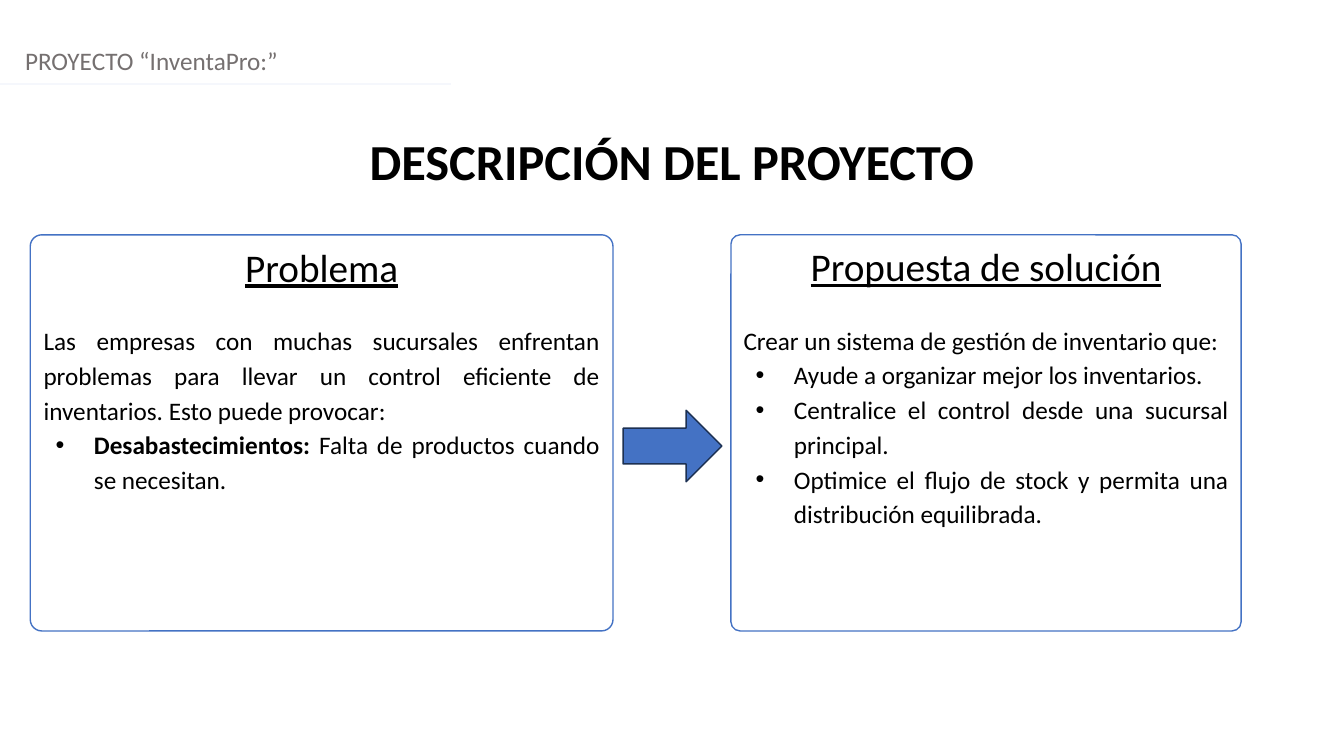
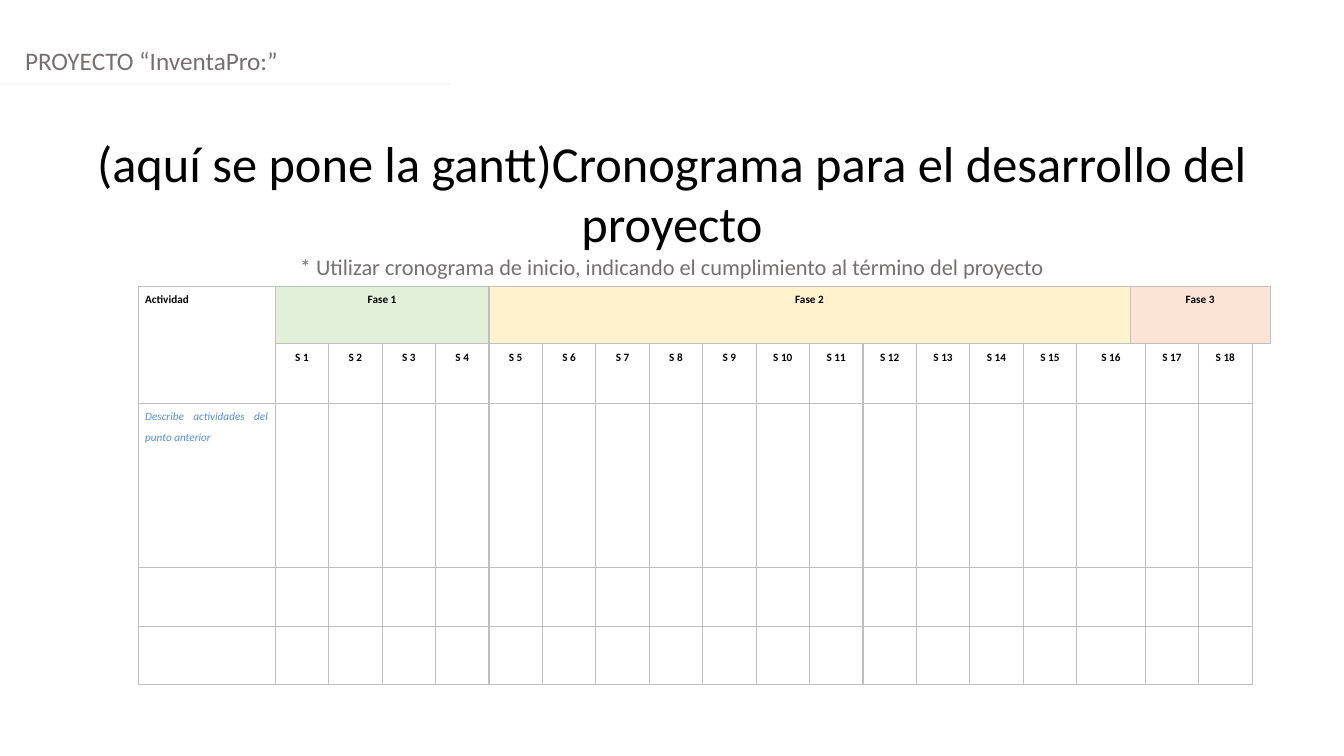
from lxml import etree
from pptx import Presentation
from pptx.dml.color import RGBColor
from pptx.enum.shapes import MSO_CONNECTOR, MSO_SHAPE
from pptx.enum.text import MSO_ANCHOR, MSO_AUTO_SIZE, PP_ALIGN
from pptx.oxml.ns import qn
from pptx.util import Inches, Pt

# Shared style
FONT = "Calibri"
COLORS = {
    "white": "FFFFFF", "black": "000000", "gray": "757070", "rule": "F5F7FC",
    "blue": "4472C4", "navy": "1C3052", "hint": "548DD4", "grid": "BFBFBF",
    "green": "E2EFD9", "yellow": "FFF2CC", "peach": "FBE4D5",
}
LEFT, CENTER, JUSTIFY = PP_ALIGN.LEFT, PP_ALIGN.CENTER, PP_ALIGN.JUSTIFY

# Content
HEADER = "PROYECTO “InventaPro:”"
DESCRIPTION_TITLE = "DESCRIPCIÓN DEL PROYECTO"
CARDS = [
    {"left": 0.3, "width": 5.78, "corner": 0.029, "heading": "Problema",
     "intro": "Las empresas con muchas sucursales enfrentan problemas para llevar "
              "un control eficiente de inventarios. Esto puede provocar:",
     "bullets": [("Desabastecimientos:", " Falta de productos cuando se necesitan.")]},
    {"left": 7.25, "width": 5.06, "corner": 0.023, "heading": "Propuesta de solución",
     "intro": "Crear un sistema de gestión de inventario que:",
     "bullets": [("", "Ayude a organizar mejor los inventarios."),
                 ("", "Centralice el control desde una sucursal principal."),
                 ("", "Optimice el flujo de stock y permita una distribución equilibrada.")]},
]
SCHEDULE_TITLE = "(aquí se pone la gantt)Cronograma para el desarrollo del proyecto"
SCHEDULE_NOTE = ("* Utilizar cronograma de inicio, indicando el cumplimiento "
                 "al término del proyecto")
ACTIVITY = "Actividad"
ACTIVITY_HINT = "Describe actividades del punto anterior"
PHASES = [("Fase 1", 4, "green"), ("Fase 2", 12, "yellow"), ("Fase 3", 4, "peach")]
WEEKS = 18
WIDE_WEEK = 16  # this week also takes the narrow column after it
COLUMN_WIDTHS = [1.36] + [0.53] * WIDE_WEEK + [0.15, 0.53, 0.53, 0.15]
ROW_HEIGHTS = [0.57, 0.59, 1.63, 0.59, 0.57]


def rgb(name):
    return RGBColor.from_string(COLORS[name])


def box(left, top, width, height):
    return [Inches(value) for value in (left, top, width, height)]


def write(frame, text, size=18, color="black", align=LEFT, bold=False, italic=False,
          underline=False, spacing=None, after=0, lead="", bullet=False):
    """Add a paragraph to the frame; lead is a bold opening."""
    paragraph = frame.paragraphs[0]
    if paragraph.runs:
        paragraph = frame.add_paragraph()
    paragraph.alignment = align
    paragraph.space_after = Pt(after)
    if spacing:
        paragraph.line_spacing = spacing
    for part, is_bold in ((lead, True), (text, bold)):
        if part:
            run = paragraph.add_run()
            run.text = part
            font = run.font
            font.name, font.size, font.color.rgb = FONT, Pt(size), rgb(color)
            font.bold, font.italic, font.underline = is_bold, italic, underline
    if bullet:
        properties = paragraph._p.get_or_add_pPr()
        properties.set("marL", str(Inches(0.5)))
        properties.set("indent", str(Inches(-0.38)))
        etree.SubElement(properties, qn("a:buFont")).set("typeface", "Arial")
        etree.SubElement(properties, qn("a:buChar")).set("char", "•")


def prepare(frame):
    frame.word_wrap = True
    frame.auto_size = MSO_AUTO_SIZE.NONE
    frame.vertical_anchor = MSO_ANCHOR.TOP
    return frame


def add_slide(presentation, top, height):
    """Title-only slide with the project header; returns slide and title frame."""
    slide = presentation.slides.add_slide(presentation.slide_layouts[5])
    title = slide.shapes.title
    title.left, title.top, title.width, title.height = box(0, top, 13.33, height)
    header = slide.shapes.add_textbox(*box(0.15, 0.4, 3.96, 0.4))
    write(prepare(header.text_frame), HEADER, color="gray")
    rule = slide.shapes.add_connector(
        MSO_CONNECTOR.STRAIGHT, Inches(0), Inches(0.83), Inches(4.47), Inches(0.83))
    rule.line.color.rgb, rule.line.width = rgb("rule"), Pt(1.25)
    etree.SubElement(rule._element.spPr, qn("a:effectLst"))
    return slide, prepare(title.text_frame)


def add_shape(slide, kind, bounds, fill, line):
    shape = slide.shapes.add_shape(kind, *box(*bounds))
    shape.shadow.inherit = False
    shape.fill.solid()
    shape.fill.fore_color.rgb = rgb(fill)
    shape.line.color.rgb, shape.line.width = rgb(line), Pt(1)
    return shape


def set_borders(cell, sides):
    """Draw the named sides and clear the others."""
    properties = cell._tc.get_or_add_tcPr()
    for index, side in enumerate("LRTB"):
        line = etree.Element(qn("a:ln" + side), w=str(Pt(1)))
        if side in sides:
            fill = etree.SubElement(line, qn("a:solidFill"))
            etree.SubElement(fill, qn("a:srgbClr")).set("val", COLORS["grid"])
        else:
            etree.SubElement(line, qn("a:noFill"))
        properties.insert(index, line)


def build_description(presentation):
    slide, title = add_slide(presentation, 1.24, 0.71)
    write(title, DESCRIPTION_TITLE, size=36, bold=True, align=CENTER)
    for card in CARDS:
        shape = add_shape(slide, MSO_SHAPE.ROUNDED_RECTANGLE,
                          (card["left"], 2.33, card["width"], 3.93), "white", "blue")
        shape.adjustments[0] = card["corner"]
        frame = prepare(shape.text_frame)
        write(frame, card["heading"], size=28, underline=True, align=CENTER, after=22)
        write(frame, card["intro"], align=JUSTIFY, spacing=1.15)
        for lead, text in card["bullets"]:
            write(frame, text, lead=lead, align=JUSTIFY, spacing=1.15, bullet=True)
    add_shape(slide, MSO_SHAPE.RIGHT_ARROW, (6.18, 4.07, 0.98, 0.71), "blue", "navy")


def build_schedule(presentation):
    slide, title = add_slide(presentation, 1.26, 1.58)
    write(title, SCHEDULE_TITLE, size=36, align=CENTER)
    write(title, SCHEDULE_NOTE, size=16, color="gray", align=CENTER)

    rows, columns = len(ROW_HEIGHTS), len(COLUMN_WIDTHS)
    table = slide.shapes.add_table(
        rows, columns, *box(1.37, 2.84, sum(COLUMN_WIDTHS), sum(ROW_HEIGHTS))).table
    table.first_row = table.horz_banding = False
    for column, width in zip(table.columns, COLUMN_WIDTHS):
        column.width = Inches(width)
    for row, height in zip(table.rows, ROW_HEIGHTS):
        row.height = Inches(height)

    # The narrow last column is open below the phase row
    for row in range(rows):
        for column in range(columns):
            cell = table.cell(row, column)
            cell.margin_left = cell.margin_right = Inches(0.07)
            cell.margin_top = cell.margin_bottom = 0
            cell.fill.background()
            is_open = row > 0 and column == columns - 1
            sides = "LRTB"
            if is_open:
                sides = "LT" if row == 1 else "L"
            set_borders(cell, sides)

    # Merged cells
    table.cell(0, 0).merge(table.cell(1, 0))
    for row in range(1, rows):
        table.cell(row, WIDE_WEEK).merge(table.cell(row, WIDE_WEEK + 1))

    # Labels
    label = {"size": 8, "spacing": 1.5}
    write(table.cell(0, 0).text_frame, ACTIVITY, bold=True, align=JUSTIFY, **label)
    write(table.cell(2, 0).text_frame, ACTIVITY_HINT, color="hint", italic=True,
          align=JUSTIFY, **label)
    start = 1
    for name, span, color in PHASES:
        cell = table.cell(0, start)
        cell.merge(table.cell(0, start + span - 1))
        cell.fill.solid()
        cell.fill.fore_color.rgb = rgb(color)
        write(cell.text_frame, name, bold=True, align=CENTER, **label)
        start += span
    for week in range(1, WEEKS + 1):
        column = week + (week > WIDE_WEEK)
        write(table.cell(1, column).text_frame, f"S {week}", bold=True,
              align=CENTER, **label)


def main():
    presentation = Presentation()
    presentation.slide_width, presentation.slide_height = Inches(13.33), Inches(7.5)
    build_description(presentation)
    build_schedule(presentation)
    presentation.save("out.pptx")


if __name__ == "__main__":
    main()
